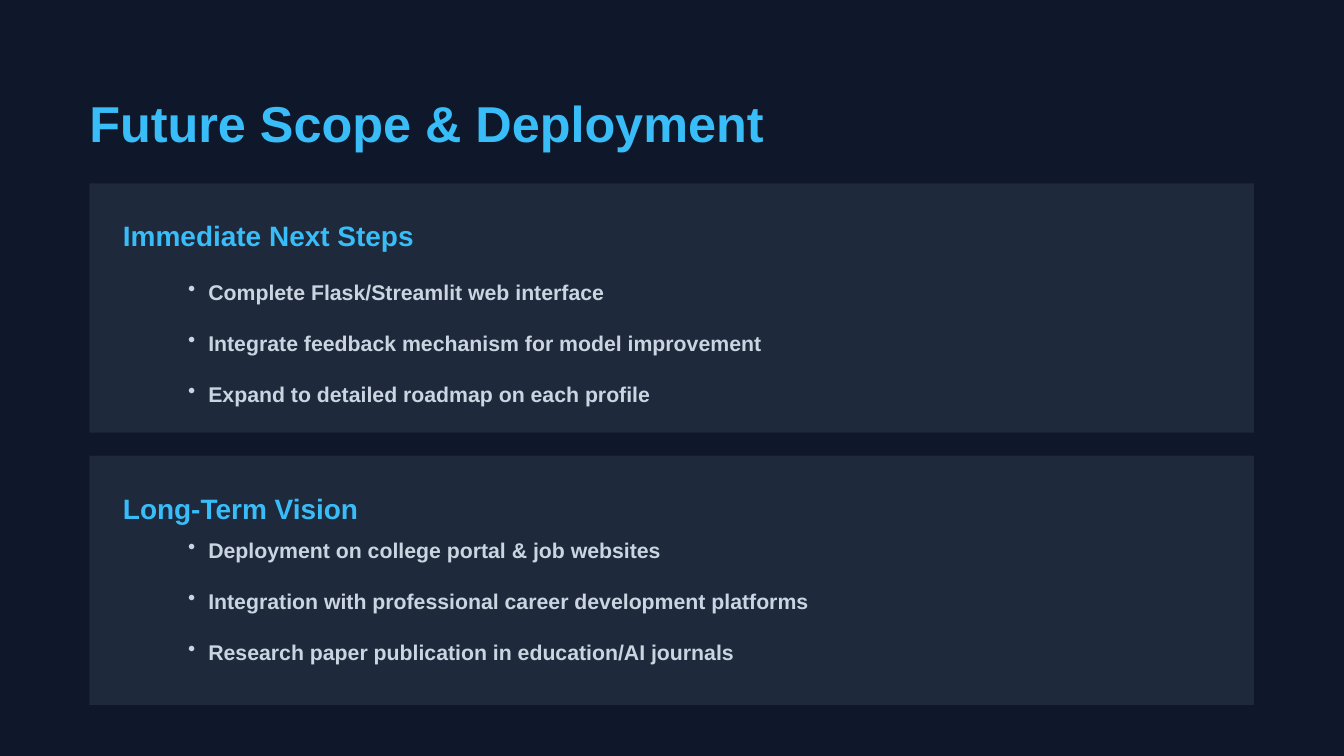
from dataclasses import dataclass

from lxml.etree import SubElement
from pptx import Presentation
from pptx.dml.color import RGBColor
from pptx.enum.shapes import MSO_SHAPE as Shape
from pptx.oxml.ns import qn
from pptx.util import Inches, Pt


@dataclass(frozen=True)
class Theme:
    """Colours, font and type sizes of the slide."""
    background: RGBColor = RGBColor.from_string("0F172A")
    panel: RGBColor = RGBColor.from_string("1E293B")
    accent: RGBColor = RGBColor.from_string("38BDF8")
    body: RGBColor = RGBColor.from_string("CBD5E1")
    font: str = "Arial"
    title_size: float = 54
    heading_size: float = 30
    bullet_size: float = 22.8


THEME = Theme()

TITLE = "Future Scope & Deployment"
PANELS = [
    ("Immediate Next Steps", 1.04, [
        "Complete Flask/Streamlit web interface",
        "Integrate feedback mechanism for model improvement",
        "Expand to detailed roadmap on each profile",
    ]),
    ("Long-Term Vision", 0.83, [
        "Deployment on college portal & job websites",
        "Integration with professional career development platforms",
        "Research paper publication in education/AI journals",
    ]),
]


def add_bullet(paragraph):
    """Give a paragraph a hanging round bullet."""
    properties = paragraph._p.get_or_add_pPr()
    properties.set("marL", str(Inches(0.6)))
    properties.set("indent", str(Inches(-0.3)))
    properties.set("lvl", "1")
    SubElement(properties, qn("a:buChar")).set("char", "•")


def add_text(slide, box, lines, size, color, spacing, bulleted=False):
    """Place bold lines of text in a box without margins."""
    text_box = slide.shapes.add_textbox(*(Inches(length) for length in box))
    frame = text_box.text_frame
    frame.word_wrap = True
    frame.margin_left = frame.margin_right = 0
    frame.margin_top = frame.margin_bottom = 0
    frame.text = "\n".join(lines)
    for paragraph in frame.paragraphs:
        if bulleted:
            add_bullet(paragraph)
        paragraph.line_spacing = Pt(spacing)
        for run in paragraph.runs:
            run.font.name = THEME.font
            run.font.size = Pt(size)
            run.font.bold = True
            run.font.color.rgb = color


def add_title(slide, box):
    """Place the slide title."""
    add_text(slide, box, [TITLE], THEME.title_size, THEME.accent, 86.4)


def add_panel(slide, box, heading, bullets_offset, bullets):
    """Place a filled panel with its heading and bullet list."""
    left, top, width, height = box
    panel = slide.shapes.add_shape(
        Shape.RECTANGLE, *(Inches(length) for length in box))
    panel.shadow.inherit = False
    panel.fill.solid()
    panel.fill.fore_color.rgb = THEME.panel
    panel.line.fill.background()
    add_text(slide, (left + 0.5, top + 0.36, width - 0.67, 0.65), [heading],
             THEME.heading_size, THEME.accent, 48)
    add_text(slide, (left + 1.17, top + bullets_offset, width - 1.66, 2.17),
             bullets, THEME.bullet_size, THEME.body, 54.7, bulleted=True)


def build_slide(presentation):
    """Build the slide with its title and stacked panels."""
    slide = presentation.slides.add_slide(presentation.slide_layouts[6])
    slide.background.fill.solid()
    slide.background.fill.fore_color.rgb = THEME.background
    left, top, width, height, gap = 1.33, 2.73, 17.33, 3.71, 0.34
    add_title(slide, (left, 1.07, 17.68, 1.16))
    for index, (heading, offset, bullets) in enumerate(PANELS):
        box = (left, top + index * (height + gap), width, height)
        add_panel(slide, box, heading, offset, bullets)


def main():
    """Create and save the presentation."""
    presentation = Presentation()
    presentation.slide_width = Inches(20)
    presentation.slide_height = Inches(11.25)
    build_slide(presentation)
    presentation.save("out.pptx")


if __name__ == "__main__":
    main()
